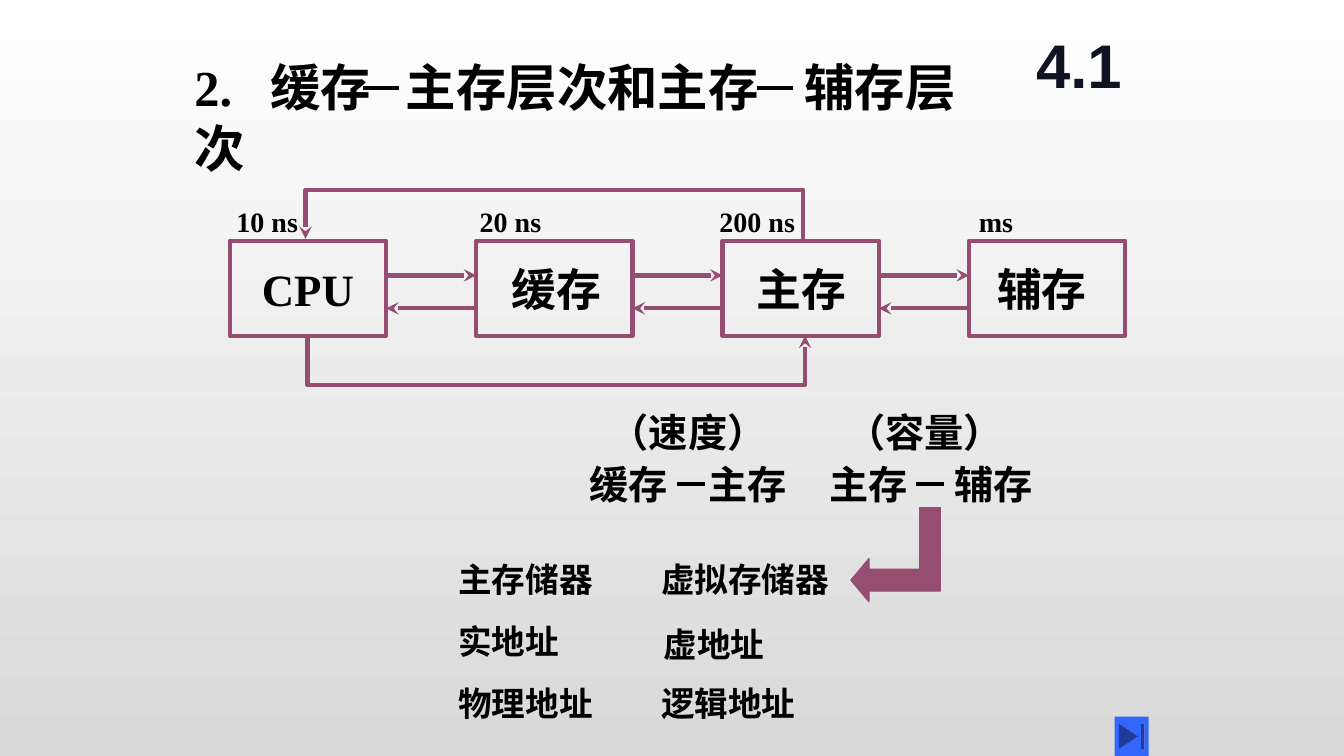
from lxml import etree
from pptx import Presentation
from pptx.dml.color import RGBColor
from pptx.enum import shapes, text
from pptx.oxml import ns
from pptx.util import Cm, Pt

BLACK = RGBColor(0x00, 0x00, 0x00)
NAVY = RGBColor(0x0F, 0x14, 0x23)
PLUM = RGBColor(0x95, 0x4D, 0x72)
BLUE = RGBColor(0x33, 0x66, 0xFF)
WHITE = RGBColor(0xFF, 0xFF, 0xFF)
GREY = RGBColor(0xD9, 0xD9, 0xD9)
KIND = shapes.MSO_SHAPE


def write(page, words, left, top, width, height, *, size, font="Times New Roman",
          color=BLACK, wrap=False, align=text.PP_ALIGN.LEFT,
          anchor=text.MSO_ANCHOR.TOP, tabs=(), kind=None):
    place = Cm(left), Cm(top), Cm(width), Cm(height)
    if kind is None:
        box = page.shapes.add_textbox(*place)
    else:
        box = page.shapes.add_shape(kind, *place)
        box.shadow.inherit = False
        box.fill.background()
        box.line.fill.background()
    frame = box.text_frame
    frame.word_wrap = wrap
    frame.vertical_anchor = anchor
    para = frame.paragraphs[0]
    para.alignment = align
    if tabs:
        stops = etree.SubElement(para._p.get_or_add_pPr(), ns.qn("a:tabLst"))
        for stop in tabs:
            etree.SubElement(stops, ns.qn("a:tab"), pos=str(Cm(stop)), algn="l")
    span = para.add_run()
    span.text = words
    span.font.size = Pt(size)
    span.font.name = font
    span.font.bold = True
    span.font.color.rgb = color


def add_block(page, kind, left, top, width, height, fill=None, line=None, weight=3):
    block = page.shapes.add_shape(kind, Cm(left), Cm(top), Cm(width), Cm(height))
    block.shadow.inherit = False
    if fill is None:
        block.fill.background()
    else:
        block.fill.solid()
        block.fill.fore_color.rgb = fill
    if line is None:
        block.line.fill.background()
    else:
        block.line.color.rgb = line
        block.line.width = Pt(weight)
    return block


def style_line(shape, color, arrow):
    shape.line.color.rgb = color
    shape.line.width = Pt(3)
    if arrow:
        outline = shape.element.spPr.find(ns.qn("a:ln"))
        etree.SubElement(outline, ns.qn("a:tailEnd"), type="stealth")


def add_line(page, start, end, y, color=BLACK, arrow=False):
    line = page.shapes.add_connector(
        shapes.MSO_CONNECTOR.STRAIGHT, Cm(start), Cm(y), Cm(end), Cm(y))
    style_line(line, color, arrow)
    etree.SubElement(line.element.spPr, ns.qn("a:effectLst"))


def add_loop(page, start, end, near, far):
    builder = page.shapes.build_freeform(Cm(start), Cm(near), scale=1.0)
    corners = [(start, far), (end, far), (end, near)]
    builder.add_line_segments([(Cm(x), Cm(y)) for x, y in corners], close=False)
    loop = builder.convert_to_shape()
    loop.shadow.inherit = False
    loop.fill.background()
    style_line(loop, PLUM, True)


def draw_heading(page, left, top, width):
    write(page, "2.\t缓存\t主存层次和主存\t辅存层次", left, top, width, 1.78,
          size=36, wrap=True, tabs=(1.91, 5.33, 15.37))
    for dash in (4.49, 14.43):
        add_line(page, left + dash, left + dash + 0.91, top + 0.91)
    write(page, "4.1", left + 20.95, top - 0.87, 3.18, 2.34, size=44, font="Arial",
          color=NAVY, wrap=True, align=text.PP_ALIGN.CENTER,
          anchor=text.MSO_ANCHOR.MIDDLE)


def draw_hierarchy(page, left, top):
    pitch, width, height = 6.21, 3.94, 2.39
    levels = [("CPU", 0.56, "10 ns", -0.08, 2.06), ("缓存", 0.64, "20 ns", -0.16, 2.06),
              ("主存", 0.61, "200 ns", -0.33, 2.41), ("辅存", 0.46, "ms", 0, 1.37)]
    for index, (name, name_dx, delay, delay_dx, delay_width) in enumerate(levels):
        x = left + index * pitch
        write(page, name, x + name_dx, top + 1.7, 3.33, 1.63, size=32, wrap=True)
        add_block(page, KIND.RECTANGLE, x, top + 1.29, width, height, line=PLUM)
        write(page, delay, x + delay_dx, top + 0.25, delay_width, 1.12, size=20)
        if index < len(levels) - 1:
            add_line(page, x + width, x + pitch, top + 2.16, PLUM, True)
            add_line(page, x + pitch, x + width, top + 2.99, PLUM, True)
    add_loop(page, left + 1.96, left + 14.5, top + 3.68, top + 4.92)
    add_loop(page, left + 14.45, left + 1.91, top + 1.24, top)


def draw_pair(page, left, top, note, note_dx, first, second, second_dx):
    write(page, note, left + note_dx, top, 4.47, 1.45, size=28)
    write(page, first, left, top + 1.32, 2.49, 1.45, size=28)
    write(page, second, left + second_dx, top + 1.32, 2.49, 1.45, size=28)
    add_line(page, left + 2.44, left + 3.15, top + 2.03)


def draw_turn_arrow(page, left, top):
    add_block(page, KIND.RECTANGLE, left + 1.73, top, 0.53, 1.52, PLUM, PLUM, 0.75)
    head = add_block(page, KIND.LEFT_ARROW, left, top + 1.27, 2.26, 1.1, PLUM, PLUM, 0.75)
    head.adjustments[0] = 0.5
    head.adjustments[1] = 0.42


def draw_terms(page, left, top):
    columns = [("主存储器", "实地址", "物理地址"), ("虚拟存储器", "虚地址", "逻辑地址")]
    for column, terms in enumerate(columns):
        for row, term in enumerate(terms):
            kind = KIND.FLOWCHART_ALTERNATE_PROCESS if term == "虚地址" else None
            write(page, term, left + column * 5.11, top + row * 1.56,
                  len(term) * 0.85 + 0.51, 1.28, size=24, kind=kind)


def main():
    deck = Presentation()
    deck.slide_width, deck.slide_height = Cm(33.87), Cm(19.05)
    page = deck.slides.add_slide(deck.slide_layouts[6])
    backdrop = page.background.fill
    backdrop.gradient()
    backdrop.gradient_angle = 270
    for stop, color in zip(backdrop.gradient_stops, (WHITE, GREY)):
        stop.color.rgb = color
    draw_hierarchy(page, 5.79, 4.78)
    draw_heading(page, 4.65, 1.3, 20.83)
    draw_pair(page, 14.61, 10.16, "（速度）", 0.51, "缓存", "主存", 3)
    draw_pair(page, 20.65, 10.16, "（容量）", 0.43, "主存", "辅存", 3.15)
    draw_turn_arrow(page, 21.44, 12.8)
    draw_terms(page, 11.3, 13.97)
    add_block(page, KIND.ACTION_BUTTON_END, 28.09, 18.06, 0.86, 0.99, BLUE)
    deck.save("out.pptx")


if __name__ == "__main__":
    main()
